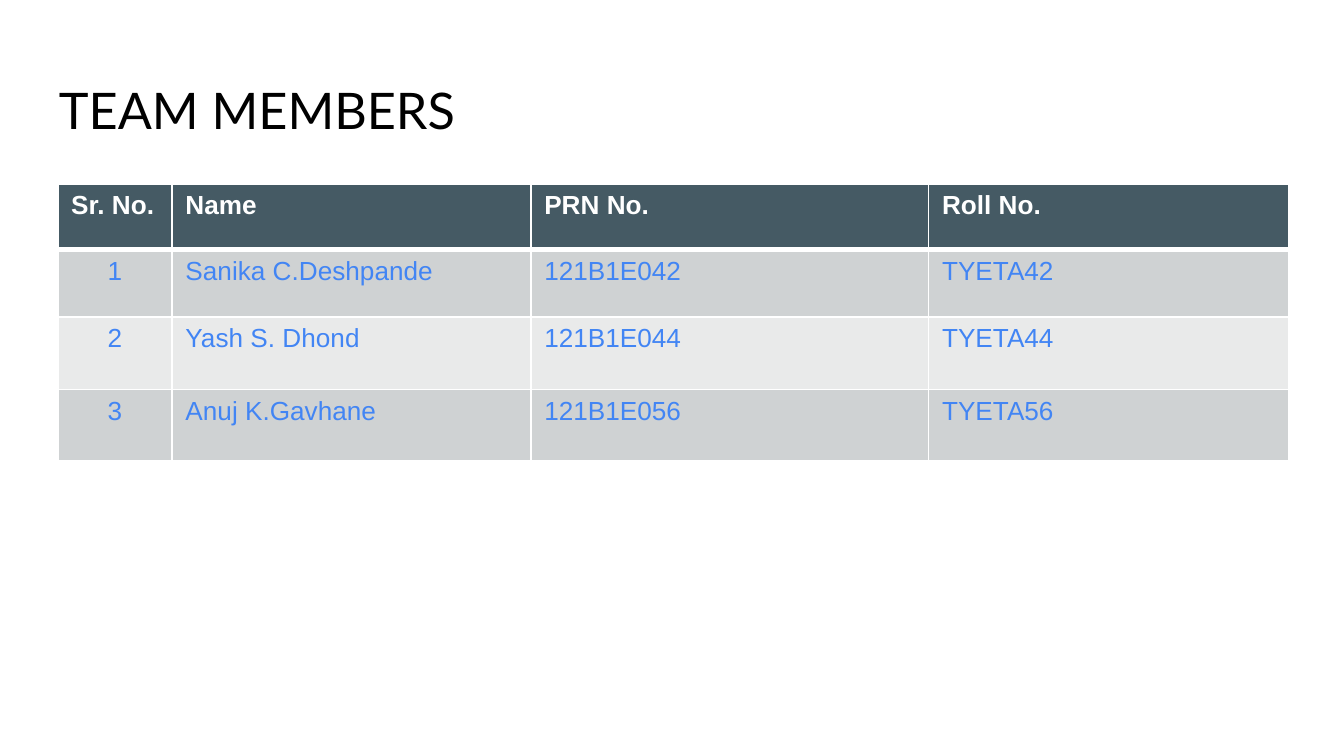
from lxml import etree
from pptx import Presentation
from pptx import util as u
from pptx.dml.color import RGBColor
from pptx.enum import text
from pptx.oxml.ns import qn

# Content
TITLE = "TEAM MEMBERS"
MEMBERS = [
    ("Sr. No.", "Name", "PRN No.", "Roll No."),
    ("1", "Sanika C.Deshpande", "121B1E042", "TYETA42"),
    ("2", "Yash S. Dhond", "121B1E044", "TYETA44"),
    ("3", "Anuj K.Gavhane", "121B1E056", "TYETA56"),
]
COLUMN_WIDTHS = [0.85, 2.67, 2.96, 2.68]
ROW_HEIGHTS = [0.49, 0.5, 0.54, 0.53]

# Formats
TITLE_FONT = {"name": "Lato", "size": u.Pt(27), "bold": False}
HEADER_FONT = {"name": "Arial", "size": u.Pt(14), "bold": True}
BODY_FONT = {**HEADER_FONT, "bold": False}
HEADER_FILL, BAND_FILLS = "455A64", ["CFD2D3", "E9EAEA"]
WHITE, BLACK, BLUE = "FFFFFF", "000000", "4285F4"


def color(value):
    return RGBColor.from_string(value)


def write(para, words, font, ink):
    span = para.add_run()
    span.text = words
    for name, value in font.items():
        setattr(span.font, name, value)
    span.font.color.rgb = color(ink)


def add_borders(cell, widths):
    """Put white lines before the fill, in the order the schema asks for."""
    properties = cell._tc.get_or_add_tcPr()
    for index, (side, points) in enumerate(widths.items()):
        line = etree.Element(qn(f"a:ln{side}"), w=str(u.Pt(points)))
        fill = etree.SubElement(line, qn("a:solidFill"))
        etree.SubElement(fill, qn("a:srgbClr"), val=WHITE)
        properties.insert(index, line)


# Widescreen page, 16:9
deck = Presentation()
deck.slide_width, deck.slide_height = u.Inches(10), u.Inches(10 * 9 / 16)
page = deck.slides.add_slide(deck.slide_layouts[6])

# Title
box = page.shapes.add_textbox(*map(u.Inches, (0.34, 0.49, 9.32, 0.63)))
frame = box.text_frame
frame.word_wrap = True
for side in ("left", "top", "right", "bottom"):
    setattr(frame, f"margin_{side}", u.Inches(0.1))
write(frame.paragraphs[0], TITLE, TITLE_FONT, BLACK)

# Member table
table = page.shapes.add_table(
    len(MEMBERS), len(COLUMN_WIDTHS), u.Inches(0.43), u.Inches(1.37),
    u.Inches(sum(COLUMN_WIDTHS)), u.Inches(sum(ROW_HEIGHTS))).table
for column, width in zip(table.columns, COLUMN_WIDTHS):
    column.width = u.Inches(width)
for row, height in zip(table.rows, ROW_HEIGHTS):
    row.height = u.Inches(height)

for r, member in enumerate(MEMBERS):
    header = r == 0
    for c, words in enumerate(member):
        cell = table.cell(r, c)
        cell.fill.solid()
        cell.fill.fore_color.rgb = color(HEADER_FILL if header else BAND_FILLS[(r - 1) % 2])
        add_borders(cell, {"L": 1, "R": 1, "T": 3 if r == 1 else 1, "B": 3 if header else 1})
        para = cell.text_frame.paragraphs[0]
        if c == 0 and not header:
            para.alignment = text.PP_ALIGN.CENTER
        write(para, words, HEADER_FONT if header else BODY_FONT, WHITE if header else BLUE)

deck.save("out.pptx")
